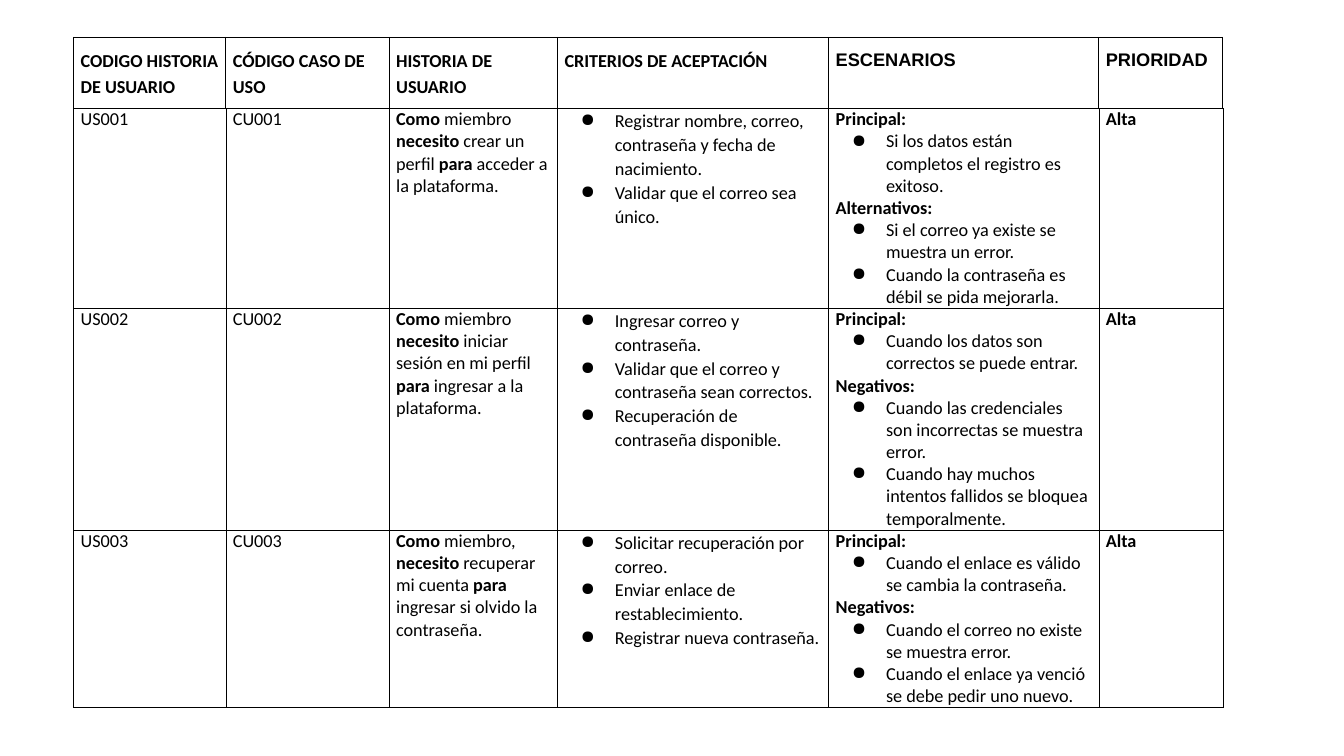
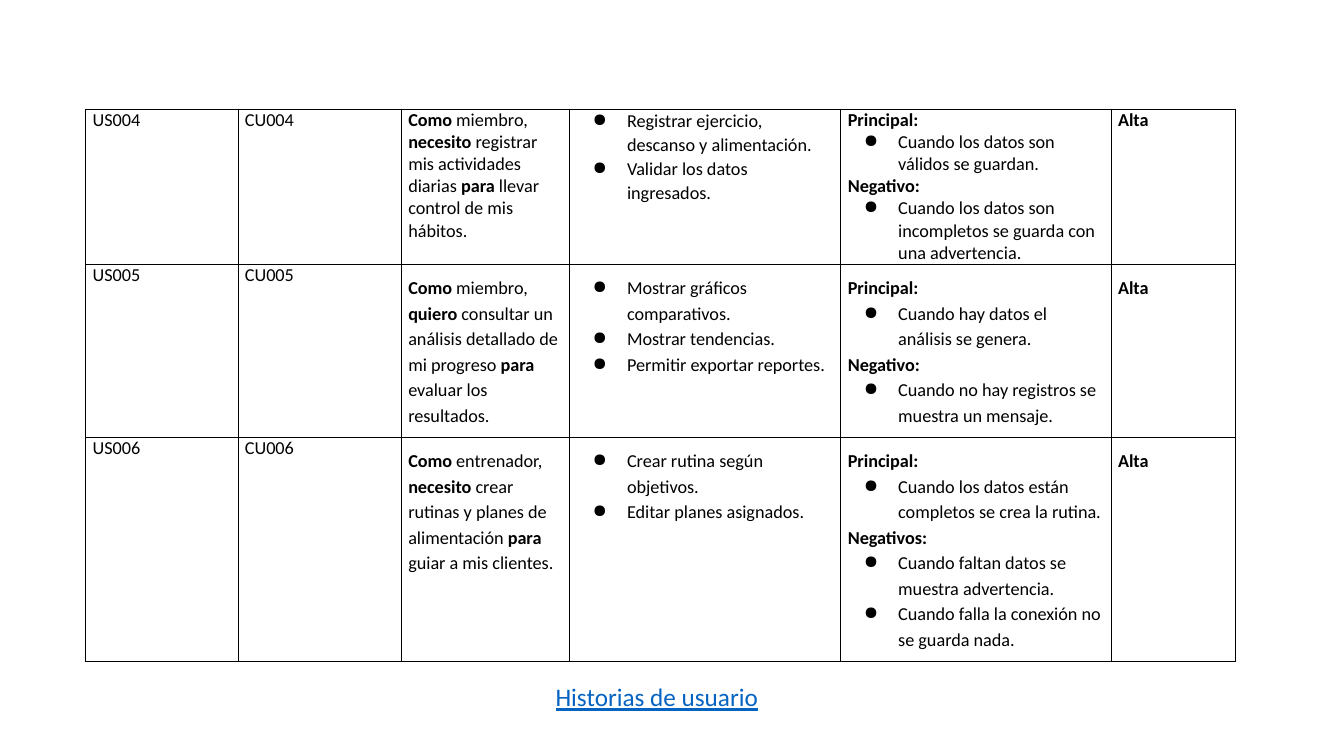
from dataclasses import dataclass
from itertools import chain
from lxml import etree
from pptx import Presentation
from pptx import util as u
from pptx.dml.color import RGBColor
from pptx.enum import text as t
from pptx.oxml.ns import qn

SCALE = 9144
BLACK, BLUE = "000000", "0563C1"
BODY, HEAD = "Calibri", "Arial"
COLS = (151, 162, 167, 269, 268, 123)
LOOSE, LIST = 1.15, 1.08


@dataclass(frozen=True)
class Cell:
    lines: tuple[str, ...]
    bold: bool = False
    font: str = BODY
    lead: float = 1.0
    pad: int = 0


@dataclass(frozen=True)
class Story:
    num: int
    tall: int
    tale: str
    checks: tuple[str, ...]
    scenes: tuple[str, ...]
    loose: bool = False


@dataclass(frozen=True)
class Row:
    tall: int
    cells: tuple[Cell, ...]


TITLES = (
    ("CODIGO HISTORIA DE USUARIO", BODY),
    ("CÓDIGO CASO DE USO", BODY),
    ("HISTORIA DE USUARIO", BODY),
    ("CRITERIOS DE ACEPTACIÓN", BODY),
    ("ESCENARIOS", HEAD),
    ("PRIORIDAD", HEAD),
)

FIRST = (
    Story(1, 198, "*Como* miembro *necesito* crear un perfil *para* acceder a la plataforma.",
          ("● Registrar nombre, correo, contraseña y fecha de nacimiento.",
           "● Validar que el correo sea único."),
          ("*Principal:*",
           "● Si los datos están completos el registro es exitoso.",
           "*Alternativos:*",
           "● Si el correo ya existe se muestra un error.",
           "● Cuando la contraseña es débil se pida mejorarla.")),
    Story(2, 219, "*Como* miembro *necesito* iniciar sesión en mi perfil *para* ingresar a la plataforma.",
          ("● Ingresar correo y contraseña.",
           "● Validar que el correo y contraseña sean correctos.",
           "● Recuperación de contraseña disponible."),
          ("*Principal:*",
           "● Cuando los datos son correctos se puede entrar.",
           "*Negativos:*",
           "● Cuando las credenciales son incorrectas se muestra error.",
           "● Cuando hay muchos intentos fallidos se bloquea temporalmente.")),
    Story(3, 176, "*Como *miembro, *necesito* recuperar mi cuenta *para* ingresar si olvido la contraseña.",
          ("● Solicitar recuperación por correo.",
           "● Enviar enlace de restablecimiento.",
           "● Registrar nueva contraseña."),
          ("*Principal:*",
           "● Cuando el enlace es válido se cambia la contraseña.",
           "*Negativos:*",
           "● Cuando el correo no existe se muestra error.",
           "● Cuando el enlace ya venció se debe pedir uno nuevo.")),
)

SECOND = (
    Story(4, 154, "*Como* miembro, *necesito* registrar mis actividades diarias *para* llevar control de mis hábitos.",
          ("● Registrar ejercicio, descanso y alimentación.",
           "● Validar los datos ingresados."),
          ("*Principal:*",
           "● Cuando los datos son válidos se guardan.",
           "*Negativo:*",
           "● Cuando los datos son incompletos se guarda con una advertencia.")),
    Story(5, 171, "*Como* miembro, *quiero* consultar un análisis detallado de mi progreso *para* evaluar los resultados.",
          ("● Mostrar gráficos comparativos.",
           "● Mostrar tendencias.",
           "● Permitir exportar reportes."),
          ("*Principal:*",
           "● Cuando hay datos el análisis se genera.",
           "*Negativo:*",
           "● Cuando no hay registros se muestra un mensaje."), True),
    Story(6, 222, "*Como* entrenador, *necesito* crear rutinas y planes de alimentación *para* guiar a mis clientes.",
          ("● Crear rutina según objetivos.",
           "● Editar planes asignados."),
          ("*Principal:*",
           "● Cuando los datos están completos se crea la rutina.",
           "*Negativos:*",
           "● Cuando faltan datos se muestra advertencia.",
           "● Cuando falla la conexión no se guarda nada."), True),
)


def px(num: int) -> u.Emu:
    return u.Emu(num * SCALE)


def tint(code: str) -> RGBColor:
    return RGBColor.from_string(code)


def add_ink(node, tag: str):
    fill = etree.SubElement(node, qn(tag))
    etree.SubElement(fill, qn("a:srgbClr"), val=BLACK)


def bullet(para):
    props = para._p.get_or_add_pPr()
    props.set("marL", str(px(50)))
    props.set("indent", str(px(-34)))
    add_ink(props, "a:buClr")
    etree.SubElement(props, qn("a:buChar"), char="●")


def write(frame, lines: tuple[str, ...], *, size: int = 13, font: str = BODY,
          color: str = BLACK, bold: bool = False, under: bool = False, lead: float = 1.0):
    frame.word_wrap = True
    for pos, line in enumerate(lines):
        para = frame.add_paragraph() if pos else frame.paragraphs[0]
        if line.startswith("● "):
            bullet(para)
        para.alignment = t.PP_ALIGN.LEFT
        para.line_spacing = lead
        for part, words in enumerate(line.removeprefix("● ").split("*")):
            if not words:
                continue
            run = para.add_run()
            run.text = words
            run.font.size = u.Pt(size)
            run.font.name = font
            run.font.bold = bold or part % 2 == 1
            run.font.underline = under
            run.font.color.rgb = tint(color)


def frame_cell(box, width: float):
    props = box._tc.get_or_add_tcPr()
    for side in "LRTB":
        line = etree.SubElement(props, qn(f"a:ln{side}"), w=str(u.Pt(width)))
        add_ink(line, "a:solidFill")


def draw_cell(box, cell: Cell):
    box.margin_left = box.margin_right = px(7)
    box.margin_top = box.margin_bottom = px(cell.pad)
    box.vertical_anchor = t.MSO_ANCHOR.TOP
    frame_cell(box, 0.75 if cell.pad else 0.5)
    box.fill.background()
    write(box.text_frame, cell.lines, font=cell.font, bold=cell.bold, lead=cell.lead)


def head_row() -> Row:
    return Row(70, tuple(Cell((name,), True, font, LOOSE, 10) for name, font in TITLES))


def story_row(story: Story) -> Row:
    lead, pad = (LOOSE, 10) if story.loose else (1.0, 0)
    return Row(story.tall, (
        Cell((f"US{story.num:03}",)),
        Cell((f"CU{story.num:03}",)),
        Cell((story.tale,), lead=lead, pad=pad),
        Cell(story.checks, lead=max(lead, LIST), pad=pad),
        Cell(story.scenes, lead=lead, pad=pad),
        Cell(("Alta",), True, lead=lead, pad=pad),
    ))


def draw_table(slide, left: int, top: int, rows: tuple[Row, ...]):
    tall = sum(row.tall for row in rows)
    table = slide.shapes.add_table(len(rows), len(COLS), px(left), px(top),
                                   px(sum(COLS)), px(tall)).table
    table.first_row = table.horz_banding = False
    for col, wide in zip(table.columns, COLS):
        col.width = px(wide)
    for line, row in zip(table.rows, rows):
        line.height = px(row.tall)
        for box, cell in zip(line.cells, row.cells):
            draw_cell(box, cell)


def draw_title(slide, words: str):
    title = slide.shapes.title
    title.left, title.top, title.width, title.height = map(px, (541, 666, 227, 59))
    frame = title.text_frame
    frame.margin_left = frame.margin_right = px(10)
    frame.margin_top = frame.margin_bottom = px(10)
    frame.vertical_anchor = t.MSO_ANCHOR.TOP
    frame.auto_size = t.MSO_AUTO_SIZE.NONE
    write(frame, (words,), size=18, color=BLUE, under=True)


def main():
    deck = Presentation()
    deck.slide_width, deck.slide_height = u.Inches(13.33), u.Inches(7.5)
    plain = deck.slide_layouts.get_by_name("Blank")
    titled = deck.slide_layouts.get_by_name("Title Only")

    start = deck.slides.add_slide(plain)
    draw_table(start, 73, 37, tuple(chain([head_row()], map(story_row, FIRST))))

    end = deck.slides.add_slide(titled)
    draw_table(end, 85, 108, tuple(map(story_row, SECOND)))
    draw_title(end, "Historias de usuario")
    deck.save("out.pptx")


if __name__ == "__main__":
    main()
